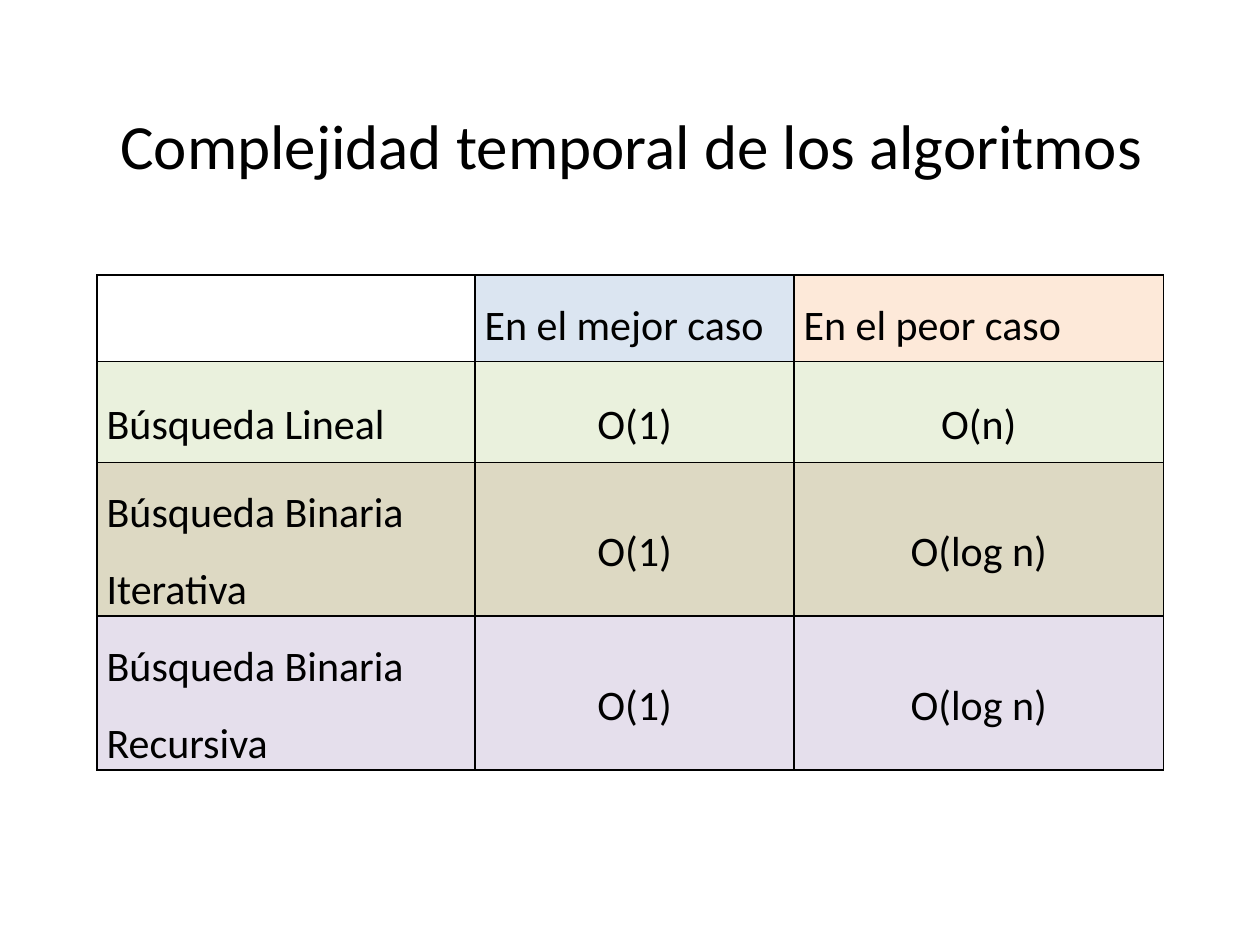
import pptx
import pptx.dml.color
import pptx.enum.text
import pptx.oxml
import pptx.oxml.ns
import pptx.util

Cm = pptx.util.Cm
Pt = pptx.util.Pt
ALIGN = pptx.enum.text.PP_ALIGN
ANCHOR = pptx.enum.text.MSO_ANCHOR

COL_WIDTHS = [7.62, 6.43, 7.44]
ROW_HEIGHTS = [1.75, 2.03, 3.1, 3.1]
ROWS = [
    ["", "En el mejor caso", "En el peor caso"],
    ["Búsqueda Lineal", "O(1)", "O(n)"],
    ["Búsqueda Binaria Iterativa", "O(1)", "O(log n)"],
    ["Búsqueda Binaria Recursiva", "O(1)", "O(log n)"],
]
HEADER_FILLS = ["FFFFFF", "DBE5F1", "FDE9D9"]
ROW_FILLS = ["EAF1DD", "DDD9C3", "E5DFEC"]
FILLS = [HEADER_FILLS] + [[fill] * len(COL_WIDTHS) for fill in ROW_FILLS]


def rgb(color):
    return pptx.dml.color.RGBColor.from_string(color)


def format_paragraph(p, size, align):
    p.alignment = align
    p.font.name = "Calibri"
    p.font.size = Pt(size)
    p.font.color.rgb = rgb("000000")


def set_borders(cell, color, width):
    tcPr = cell._tc.get_or_add_tcPr()
    for i, side in enumerate(["lnL", "lnR", "lnT", "lnB"]):
        tcPr.insert(i, pptx.oxml.parse_xml(
            f'<a:{side} {pptx.oxml.ns.nsdecls("a")} w="{Pt(width)}">'
            f'<a:solidFill><a:srgbClr val="{color}"/></a:solidFill></a:{side}>'))


def add_title(s, text, left, top, width, height):
    sp = s.shapes.title
    sp.left, sp.top, sp.width, sp.height = Cm(left), Cm(top), Cm(width), Cm(height)
    tf = sp.text_frame
    tf.text = text
    tf.vertical_anchor = ANCHOR.MIDDLE
    format_paragraph(tf.paragraphs[0], 36, ALIGN.CENTER)


def format_cell(cell, text, fill, align, anchor):
    cell.text = text
    cell.fill.solid()
    cell.fill.fore_color.rgb = rgb(fill)
    cell.vertical_anchor = anchor
    cell.margin_left = cell.margin_right = Cm(0.19)
    cell.margin_top = cell.margin_bottom = 0
    p = cell.text_frame.paragraphs[0]
    p.line_spacing = 1.5
    format_paragraph(p, 24, align)
    set_borders(cell, "000000", 1)


def add_complexity_table(s, left, top):
    table = s.shapes.add_table(
        len(ROWS), len(COL_WIDTHS), Cm(left), Cm(top),
        Cm(sum(COL_WIDTHS)), Cm(sum(ROW_HEIGHTS))).table
    table.first_row = False
    table.horz_banding = False
    for column, width in zip(table.columns, COL_WIDTHS):
        column.width = Cm(width)
    for r, (texts, fills) in enumerate(zip(ROWS, FILLS)):
        table.rows[r].height = Cm(ROW_HEIGHTS[r])
        anchor = ANCHOR.MIDDLE if r else ANCHOR.TOP
        for c, (text, fill) in enumerate(zip(texts, fills)):
            align = ALIGN.CENTER if r and c else ALIGN.LEFT
            format_cell(table.cell(r, c), text, fill, align, anchor)


def main():
    prs = pptx.Presentation()
    prs.slide_width, prs.slide_height = Cm(25.4), Cm(19.05)
    s = prs.slides.add_slide(prs.slide_layouts[5])
    add_title(s, "Complejidad temporal de los algoritmos", 1.3, 1.32, 22.86, 3.18)
    add_complexity_table(s, 1.96, 5.54)
    prs.save("out.pptx")


if __name__ == "__main__":
    main()
